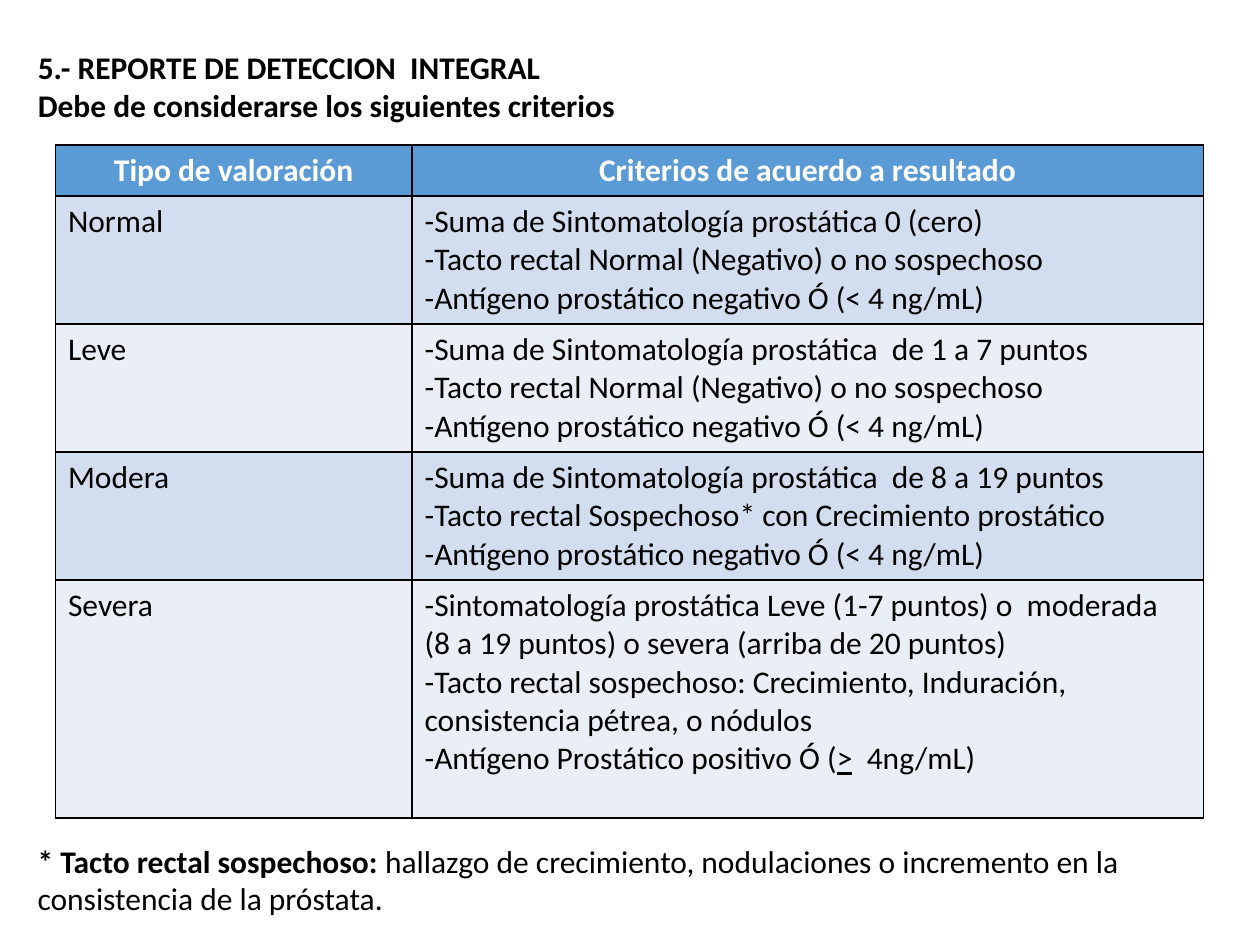
"""Build the slide of criteria for the prostate detection report."""
import pptx
import pptx.dml.color
import pptx.enum.text
import pptx.oxml
import pptx.oxml.ns
import pptx.util

COLORS = {
    "text": "000000",
    "header_text": "FFFFFF",
    "header": "5B9BD5",
    "band_dark": "D2DEEF",
    "band_light": "EAEFF7",
    "border": "000000",
}
FONT = "Calibri"
SIZE = 18
WIDTH, HEIGHT = pptx.util.Inches(10), pptx.util.Inches(7.5)
ALIGN = pptx.enum.text.PP_ALIGN
ANCHOR = pptx.enum.text.MSO_ANCHOR

COLUMN_SHARES = [28.3, 62.8]
ROW_SHARES = [5.4, 13.33, 13.33, 13.33, 25.2]

NORMAL_TOUCH = "-Tacto rectal Normal (Negativo) o no sospechoso"
NEGATIVE_ANTIGEN = "-Antígeno prostático negativo Ó (< 4 ng/mL)"

TITLE = ["5.- REPORTE DE DETECCION  INTEGRAL",
         "Debe de considerarse los siguientes criterios"]
HEADERS = ["Tipo de valoración", "Criterios de acuerdo a resultado"]
CRITERIA = [
    ("Normal", ["-Suma de Sintomatología prostática 0 (cero)",
                NORMAL_TOUCH, NEGATIVE_ANTIGEN]),
    ("Leve", ["-Suma de Sintomatología prostática  de 1 a 7 puntos",
              NORMAL_TOUCH, NEGATIVE_ANTIGEN]),
    ("Modera", ["-Suma de Sintomatología prostática  de 8 a 19 puntos",
                "-Tacto rectal Sospechoso* con Crecimiento prostático",
                NEGATIVE_ANTIGEN]),
    ("Severa", ["-Sintomatología prostática Leve (1-7 puntos) o  moderada "
                "(8 a 19 puntos) o severa (arriba de 20 puntos)",
                "-Tacto rectal sospechoso: Crecimiento, Induración, "
                "consistencia pétrea, o nódulos",
                [("-Antígeno Prostático positivo Ó (", {}),
                 (">", {"underline": True}),
                 ("  4ng/mL)", {})]]),
]
FOOTNOTE = [("* Tacto rectal sospechoso: ", {"bold": True}),
            ("hallazgo de crecimiento, nodulaciones o incremento en la "
             "consistencia de la próstata.", {})]


def x(share):
    """Return a percentage of the slide width."""
    return round(WIDTH * share / 100)


def y(share):
    """Return a percentage of the slide height."""
    return round(HEIGHT * share / 100)


def add_run(p, text, color="text", bold=False, underline=False):
    """Add one formatted run to a paragraph."""
    r = p.add_run()
    r.text = text
    r.font.name = FONT
    r.font.size = pptx.util.Pt(SIZE)
    r.font.bold = bold
    r.font.underline = underline
    r.font.color.rgb = pptx.dml.color.RGBColor.from_string(COLORS[color])


def write_paragraphs(tf, paragraphs, align=ALIGN.LEFT, **style):
    """Write paragraphs given as strings or as lists of styled runs."""
    for i, content in enumerate(paragraphs):
        p = tf.add_paragraph() if i else tf.paragraphs[0]
        p.alignment = align
        runs = [(content, {})] if isinstance(content, str) else content
        for text, extra in runs:
            add_run(p, text, **{**style, **extra})


def set_frame(tf):
    """Wrap the text and anchor it to the top at a fixed size."""
    tf.word_wrap = True
    tf.auto_size = pptx.enum.text.MSO_AUTO_SIZE.NONE
    tf.vertical_anchor = ANCHOR.TOP


def add_title(s):
    """Fill the title placeholder with the two heading lines."""
    sp = s.shapes.title
    sp.left, sp.top, sp.width, sp.height = x(2), y(4.4), x(96), y(10)
    set_frame(sp.text_frame)
    write_paragraphs(sp.text_frame, TITLE, bold=True)


def add_footnote(s):
    """Add the note below the table."""
    sp = s.shapes.add_textbox(x(2), y(88.4), x(98), y(9.5))
    set_frame(sp.text_frame)
    write_paragraphs(sp.text_frame, [FOOTNOTE])


def set_borders(cell):
    """Draw a thin line on the four sides of a cell."""
    tc_pr = cell._tc.get_or_add_tcPr()
    for i, side in enumerate(("lnL", "lnR", "lnT", "lnB")):
        tc_pr.insert(i, pptx.oxml.parse_xml(
            f'<a:{side} {pptx.oxml.ns.nsdecls("a")} w="12700"><a:solidFill>'
            f'<a:srgbClr val="{COLORS["border"]}"/></a:solidFill></a:{side}>'))


def fill_cell(cell, paragraphs, fill, **style):
    """Give a cell its text, fill and borders."""
    write_paragraphs(cell.text_frame, paragraphs, **style)
    cell.vertical_anchor = ANCHOR.TOP
    cell.fill.solid()
    cell.fill.fore_color.rgb = pptx.dml.color.RGBColor.from_string(COLORS[fill])
    set_borders(cell)


def add_criteria_table(s):
    """Add the table of assessment types and their criteria."""
    table = s.shapes.add_table(
        len(ROW_SHARES), len(COLUMN_SHARES), x(4.4), y(15.33),
        x(sum(COLUMN_SHARES)), y(sum(ROW_SHARES))).table
    for column, share in zip(table.columns, COLUMN_SHARES):
        column.width = x(share)
    for row, share in zip(table.rows, ROW_SHARES):
        row.height = y(share)
    for j, text in enumerate(HEADERS):
        fill_cell(table.cell(0, j), [text], "header", align=ALIGN.CENTER,
                  color="header_text", bold=True)
    for i, (kind, criteria) in enumerate(CRITERIA, start=1):
        fill = "band_dark" if i % 2 else "band_light"
        fill_cell(table.cell(i, 0), [kind], fill)
        fill_cell(table.cell(i, 1), criteria, fill)


def main():
    """Build and save the slide."""
    prs = pptx.Presentation()
    prs.slide_width, prs.slide_height = WIDTH, HEIGHT
    s = prs.slides.add_slide(prs.slide_layouts[5])
    add_title(s)
    add_criteria_table(s)
    add_footnote(s)
    prs.save("out.pptx")


if __name__ == "__main__":
    main()
